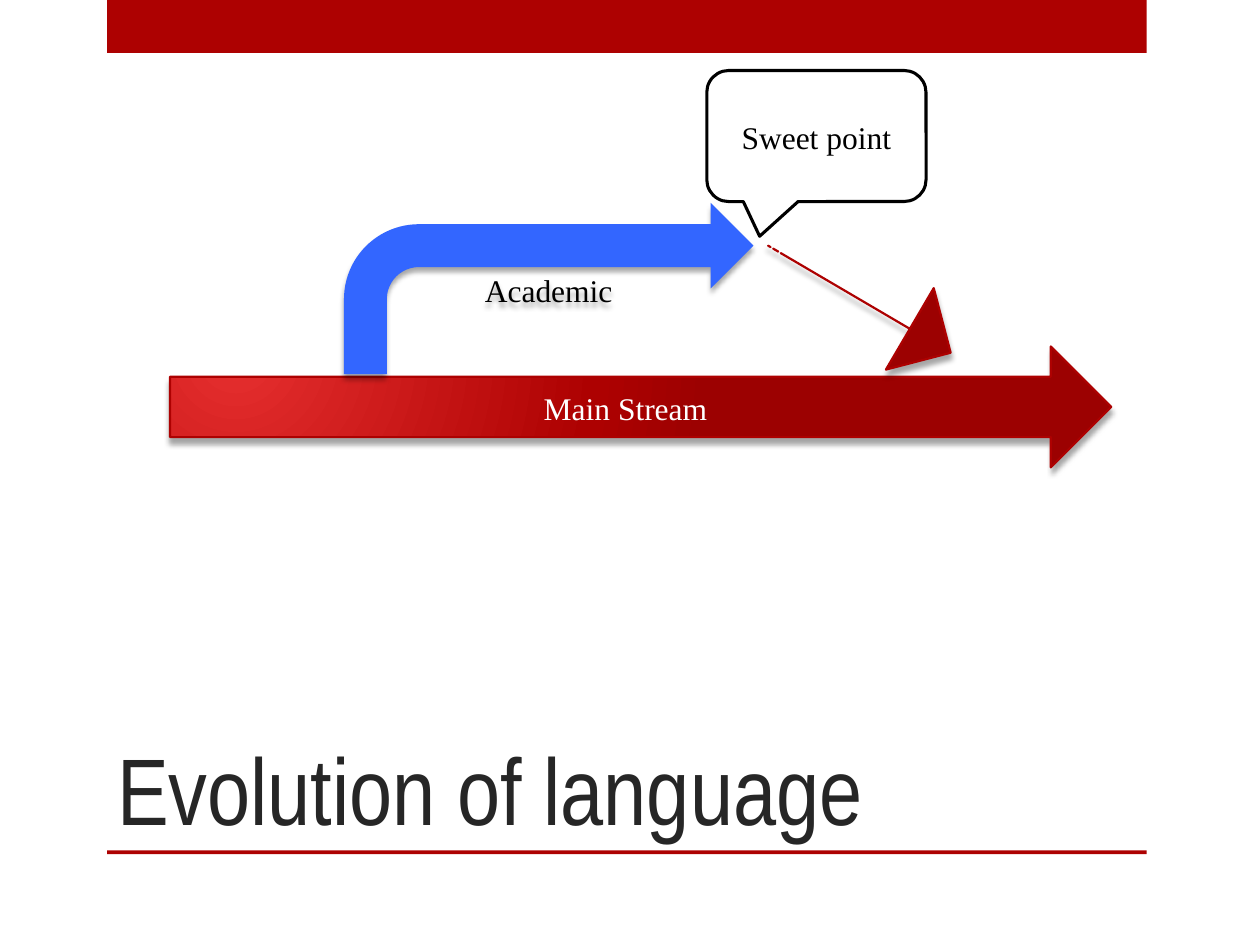
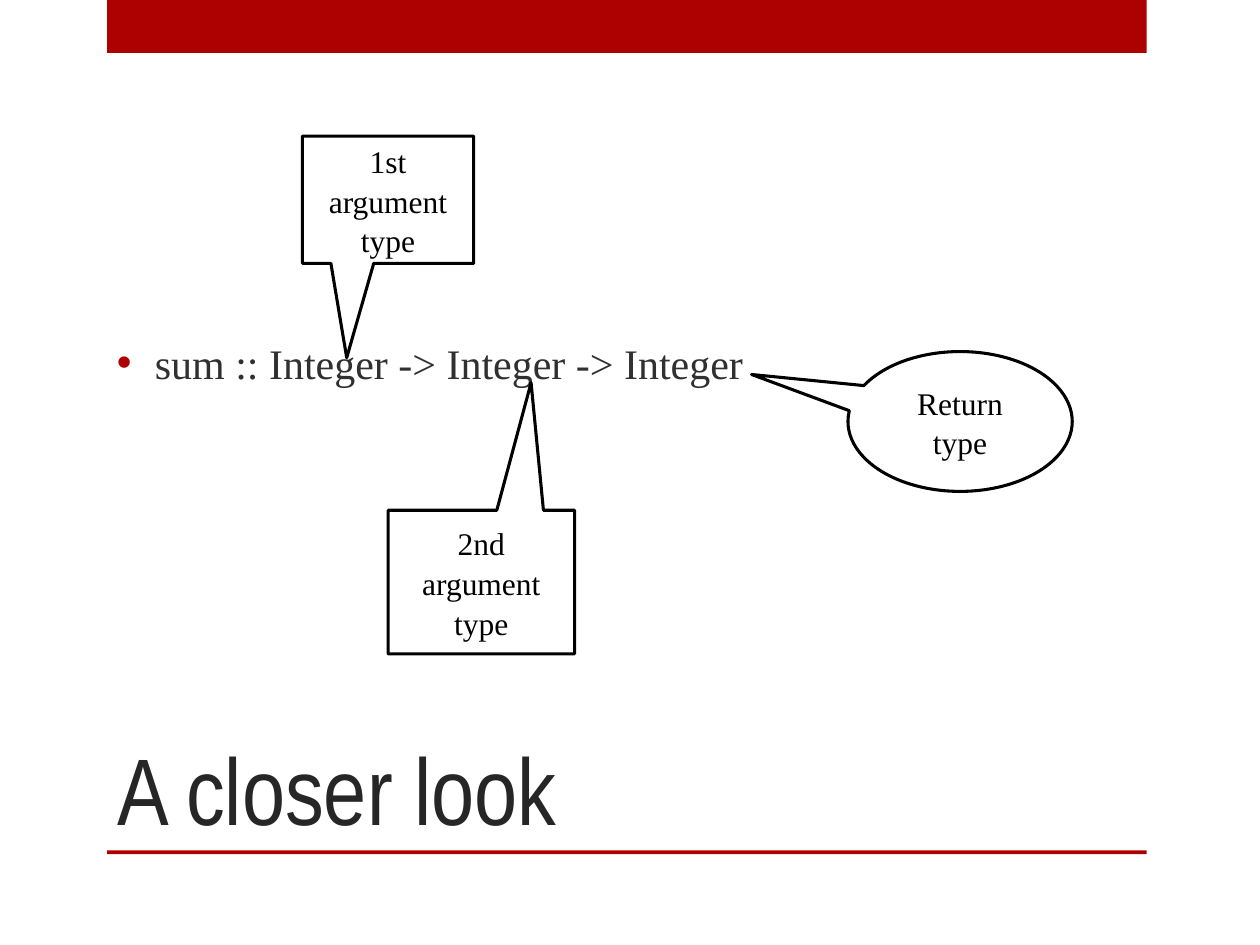
import pptx
import pptx.util
import pptx.oxml
import pptx.oxml.ns
import pptx.dml.color
import pptx.enum.shapes
import pptx.enum.text

Inches, Pt = pptx.util.Inches, pptx.util.Pt
KIND = pptx.enum.shapes.MSO_SHAPE
ALIGN = pptx.enum.text.PP_ALIGN
ANCHOR = pptx.enum.text.MSO_ANCHOR

RED, BLUE, BLACK, WHITE = "AD0101", "3366FF", "000000", "FFFFFF"
DARK, GREY = "262626", "303030"
HEAD, BODY = "Arial Narrow", "Times New Roman"
BANDS = [(0.85, 0, 8.25, 0.42), (0.85, 6.75, 8.25, 0.03)]
STOPS = [(0, "E62F2F"), (76, RED), (100, "9C0101")]

ARROWS = [
    dict(kind=KIND.RIGHT_ARROW, box=(1.35, 2.75, 7.47, 0.96),
         text="Main Stream", ink=WHITE),
    dict(kind=KIND.BENT_ARROW, box=(2.73, 1.61, 3.25, 1.36),
         text="Academic", fill=BLUE),
    dict(kind=KIND.STRIPED_RIGHT_ARROW, box=(5.98, 2, 1.68, 0.75),
         turn=30.4, adjust=(0, 0.5)),
]
SWEET = [
    (KIND.ROUNDED_RECTANGULAR_CALLOUT, (5.61, 0.56, 1.74, 1.04),
     (-0.259, 0.765, 0.167), "Sweet point"),
]
TYPES = [
    (KIND.RECTANGULAR_CALLOUT, (2.4, 1.08, 1.36, 1.01),
     (-0.241, 1.242), "1st argument type"),
    (KIND.RECTANGULAR_CALLOUT, (3.08, 4.05, 1.48, 1.14),
     (0.267, -1.388), "2nd argument type"),
    (KIND.OVAL_CALLOUT, (6.73, 2.79, 1.78, 1.11),
     (-0.93, -0.336), "Return type"),
]
SLIDES = [
    dict(title="Evolution of language", arrows=ARROWS, calls=SWEET),
    dict(title="A closer look", calls=TYPES,
         point="sum :: Integer -> Integer -> Integer"),
]


def color(code):
    """Turn a hex string into a colour."""
    return pptx.dml.color.RGBColor.from_string(code)


def node(text):
    """Build a drawing element from its markup."""
    space = pptx.oxml.ns.nsdecls("a")
    return pptx.oxml.parse_xml(text.replace(" ", f" {space} ", 1))


def place(item, box):
    """Move an item to left, top, width, height."""
    item.left, item.top, item.width, item.height = map(Inches, box)


def write(frame, text, size, face, ink, align, anchor):
    """Put one paragraph in a frame and style it."""
    frame.word_wrap = True
    frame.auto_size = pptx.enum.text.MSO_AUTO_SIZE.NONE
    frame.vertical_anchor = anchor
    para = frame.paragraphs[0]
    para.text, para.alignment = text, align
    font = para.font
    font.size, font.name, font.color.rgb = Pt(size), face, color(ink)
    return para


def draw(slide, kind, box, fill=None, line=None, width=1.25, adjust=(),
         text="", ink=BLACK):
    """Draw a preset shape, with the red gradient if no fill is given."""
    shape = slide.shapes.add_shape(kind, *map(Inches, box))
    shape.shadow.inherit = False
    for spot, value in enumerate(adjust):
        shape.adjustments[spot] = value
    if fill:
        shape.fill.solid()
        shape.fill.fore_color.rgb = color(fill)
    else:
        stops = "".join(f'<a:gs pos="{pos * 1000}"><a:srgbClr val="{code}"/></a:gs>'
                        for pos, code in STOPS)
        shape.element.spPr.insert(2, node(
            f'<a:gradFill rotWithShape="1"><a:gsLst>{stops}</a:gsLst>'
            '<a:path path="circle"><a:fillToRect l="15000" t="15000" '
            'r="100000" b="100000"/></a:path></a:gradFill>'))
    if line:
        shape.line.color.rgb, shape.line.width = color(line), Pt(width)
    else:
        shape.line.fill.background()
    if text:
        para = write(shape.text_frame, text, 18, BODY, ink, ALIGN.CENTER, ANCHOR.MIDDLE)
        para.line_spacing = 1.05
    return shape


def arrow(slide, kind, box, fill=None, turn=0, **style):
    """Draw a block arrow with a soft shadow below."""
    shape = draw(slide, kind, box, fill, None if fill else RED, **style)
    shape.rotation = turn
    shape.element.spPr.find(pptx.oxml.ns.qn("a:effectLst")).append(node(
        '<a:outerShdw blurRad="38100" dist="38100" dir="5400000" rotWithShape="0">'
        f'<a:srgbClr val="{BLACK}"><a:alpha val="35000"/></a:srgbClr></a:outerShdw>'))


def bullet(slide, text):
    """Add the bulleted line of body text."""
    box = slide.shapes.add_textbox(*map(Inches, (0.83, 0.75, 8.25, 4.25)))
    para = write(box.text_frame, text, 24, BODY, GREY, ALIGN.LEFT, ANCHOR.MIDDLE)
    para.space_before = Pt(4.8)
    props = para._p.get_or_add_pPr()
    props.set("marL", str(Inches(0.3)))
    props.set("indent", str(Inches(-0.3)))
    mark = [f'<a:buClr ><a:srgbClr val="{RED}"/></a:buClr>',
            '<a:buFont typeface="Arial"/>', '<a:buChar char="•"/>']
    for place_at, part in enumerate(mark, 1):
        props.insert(place_at, node(part))


def build(deck, title, calls, arrows=(), point=None):
    """Add one slide with its bands, title and parts."""
    slide = deck.slides.add_slide(deck.slide_layouts[5])
    for box in BANDS:
        draw(slide, KIND.RECTANGLE, box, RED)
    head = slide.shapes.title
    place(head, (0.83, 5, 7.42, 1.75))
    write(head.text_frame, title, 54, HEAD, DARK, ALIGN.LEFT, ANCHOR.BOTTOM)
    if point:
        bullet(slide, point)
    for style in arrows:
        arrow(slide, **style)
    for kind, box, adjust, text in calls:
        draw(slide, kind, box, WHITE, BLACK, 1.75, adjust, text)


def main():
    """Build and save the deck."""
    deck = pptx.Presentation()
    deck.slide_width, deck.slide_height = Inches(10), Inches(7.5)
    for page in SLIDES:
        build(deck, **page)
    deck.save("out.pptx")


if __name__ == "__main__":
    main()
